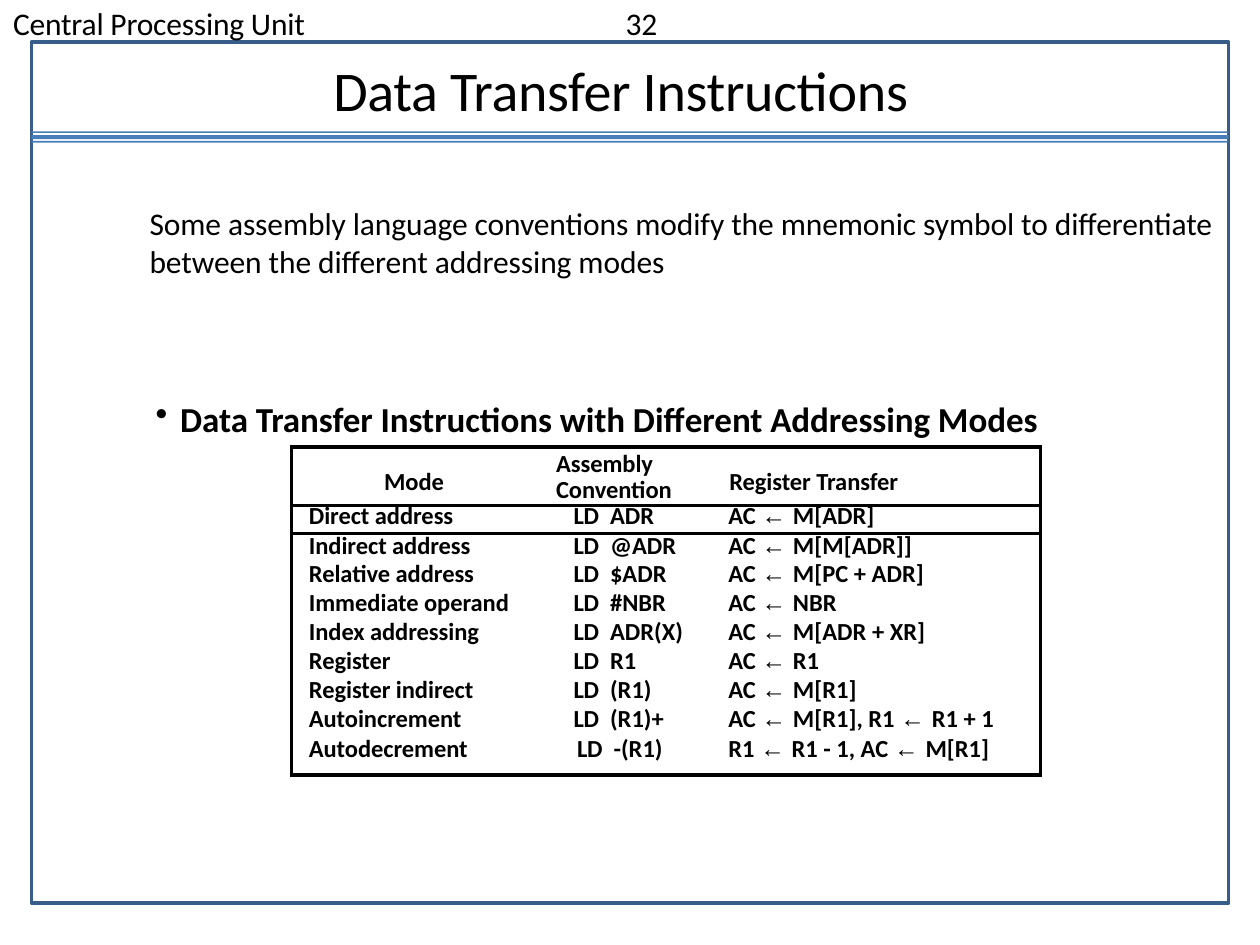
from lxml.etree import SubElement
from pptx import Presentation
from pptx.dml.color import RGBColor
from pptx.enum.shapes import MSO_SHAPE
from pptx.enum.text import PP_ALIGN
from pptx.oxml.ns import qn
from pptx.util import Pt

INK = {"text": "000000", "frame": "385D89", "rail": "497DBA", "rule": "000000"}
FACE = "Calibri"
ARROW = "← "
COLS = [138.25, 98.5, 191.5]
ROWS = [33.5, 16] + [16.5] * 7 + [22.5]
LEADS = [14.7] + [15.4] * 7 + [16.3]
MODES = [
    ("Direct address", "ADR", "AC ← M[ADR]"),
    ("Indirect address", "@ADR", "AC ← M[M[ADR]]"),
    ("Relative address", "$ADR", "AC ← M[PC + ADR]"),
    ("Immediate operand", "#NBR", "AC ← NBR"),
    ("Index addressing", "ADR(X)", "AC ← M[ADR + XR]"),
    ("Register", "R1", "AC ← R1"),
    ("Register indirect", "(R1)", "AC ← M[R1]"),
    ("Autoincrement", "(R1)+", "AC ← M[R1], R1 ← R1 + 1"),
    ("Autodecrement", "-(R1)", "R1 ← R1 - 1, AC ← M[R1]"),
]


def color(key):
    return RGBColor.from_string(INK[key])


def style(para, size, bold=False, left=0, hang=0):
    props = para._p.get_or_add_pPr()
    props.set("marL", str(Pt(left)))
    props.set("indent", str(Pt(hang)))
    font = para.font
    font.name, font.size, font.bold = FACE, Pt(size), bold
    font.color.rgb = color("text")


def add_run(para, text, track=0):
    run = para.add_run()
    run.text = text
    if track:
        run._r.get_or_add_rPr().set("spc", str(round(track * 100)))
    return run


def add_text(slide, box, lines, size, track=-0.05, bold=False, bullet=None):
    frame = slide.shapes.add_textbox(*map(Pt, box)).text_frame
    frame.word_wrap = True
    frame.margin_left = frame.margin_right = frame.margin_bottom = 0
    frame.margin_top = Pt(1)
    for i, line in enumerate(lines):
        para = frame.add_paragraph() if i else frame.paragraphs[0]
        if bullet:
            SubElement(para._p.get_or_add_pPr(), qn("a:buChar"), char=bullet)
        style(para, size, bold, 15 if bullet else 1, -14 if bullet else 0)
        add_run(para, line, track)


def add_frame(slide, x, y, w, h):
    frame = slide.shapes.add_shape(MSO_SHAPE.RECTANGLE, Pt(x), Pt(y), Pt(w), Pt(h))
    frame.shadow.inherit = False
    frame.fill.background()
    frame.line.color.rgb = color("frame")
    frame.line.width = Pt(2)


def add_rails(slide, x, y, w):
    path = slide.shapes.build_freeform(Pt(x), Pt(y))
    for top, deep in ((0, 1), (2.25, 2.25), (5.5, 1)):
        left, right = Pt(x), Pt(x + w)
        high, low = Pt(y + top), Pt(y + top + deep)
        path.move_to(left, high)
        path.add_line_segments([(left, low), (right, low), (right, high)], close=True)
    rails = path.convert_to_shape()
    rails.shadow.inherit = False
    rails.fill.solid()
    rails.fill.fore_color.rgb = color("rail")
    rails.line.fill.background()


def set_edges(cell, edges):
    props = cell._tc.get_or_add_tcPr()
    for side in "LRTB":
        line = SubElement(props, qn(f"a:ln{side}"), w=str(Pt(2.25)))
        if side in edges:
            fill = SubElement(line, qn("a:solidFill"))
            SubElement(fill, qn("a:srgbClr"), val=INK["rule"])
        else:
            SubElement(line, qn("a:noFill"))
    cell.fill.background()


def fill_head(cells):
    heads = [(["Mode"], 2, 11.5), (["Assembly", "Convention"], 13, 1.5),
             (["Register Transfer"], 13.5, 11.5)]
    for cell, (lines, left, top) in zip(cells, heads):
        cell.margin_top = Pt(top)
        for i, line in enumerate(lines):
            para = cell.text_frame.add_paragraph() if i else cell.text_frame.paragraphs[0]
            if i:
                para.line_spacing = Pt(14.6)
            if line == "Mode":
                para.alignment = PP_ALIGN.CENTER
            style(para, 14, True, left)
            add_run(para, line, -0.05)


def fill_row(cells, mode, lead, shift):
    name, code, move = mode
    paras = [cell.text_frame.paragraphs[0] for cell in cells]
    for para, left in zip(paras, (10, 23 + shift, 13)):
        para.line_spacing = Pt(lead)
        style(para, 14, True, left)
    add_run(paras[0], name, -0.05)
    for part, track in (("LD", -0.1), (" ", 3), (code, 0)):
        add_run(paras[1], part, track)
    for i, part in enumerate(move.split(ARROW)):
        if i:
            font = add_run(paras[2], ARROW).font
            font.name, font.bold = "Arial", False
        add_run(paras[2], part)


def add_modes(slide, x, y):
    table = slide.shapes.add_table(len(ROWS), len(COLS), Pt(x), Pt(y),
                                   Pt(sum(COLS)), Pt(sum(ROWS))).table
    table.first_row = table.horz_banding = False
    for col, width in zip(table.columns, COLS):
        col.width = Pt(width)
    last = len(ROWS) - 1
    for r, height in enumerate(ROWS):
        table.rows[r].height = Pt(height)
        cells = list(table.rows[r].cells)
        for c, cell in enumerate(cells):
            cell.margin_left = cell.margin_right = 0
            cell.margin_top = cell.margin_bottom = 0
            edges = "L" * (c == 0) + "R" * (c == len(COLS) - 1)
            edges += "T" * (r < 3) + "B" * (r in (0, 1, last))
            set_edges(cell, edges)
        if r:
            fill_row(cells, MODES[r - 1], LEADS[r - 1], 2 if r == last else 0)
        else:
            fill_head(cells)


def add_slide(deck, x, y, w, h):
    slide = deck.slides.add_slide(deck.slide_layouts[6])
    add_frame(slide, x + 18, y + 24, w - 36, h - 48)
    add_text(slide, (x + 6.5, y + 1.5, 172, 24), ["Central Processing Unit"], 18, -0.1)
    add_text(slide, (x + 356.5, y + 1.5, 24, 24), ["32"], 18, -0.1)
    add_rails(slide, x + 18, y + 75, w - 36)
    add_text(slide, (x + 189.5, y + 30.5, 340, 40), ["Data Transfer Instructions"], 32, -0.2)
    add_modes(slide, x + 166.5, y + 255.5)
    add_text(slide, (x + 88, y + 226, 515, 26),
             ["Data Transfer Instructions with Different Addressing Modes"],
             20, bold=True, bullet="•")
    add_text(slide, (x + 84.5, y + 115.5, 618, 45),
             ["Some assembly language conventions modify the mnemonic symbol to differentiate",
              "between the different addressing modes"], 18)


def main():
    deck = Presentation()
    deck.slide_width, deck.slide_height = Pt(720), Pt(540)
    add_slide(deck, 0, 0, 720, 540)
    deck.save("out.pptx")


if __name__ == "__main__":
    main()
